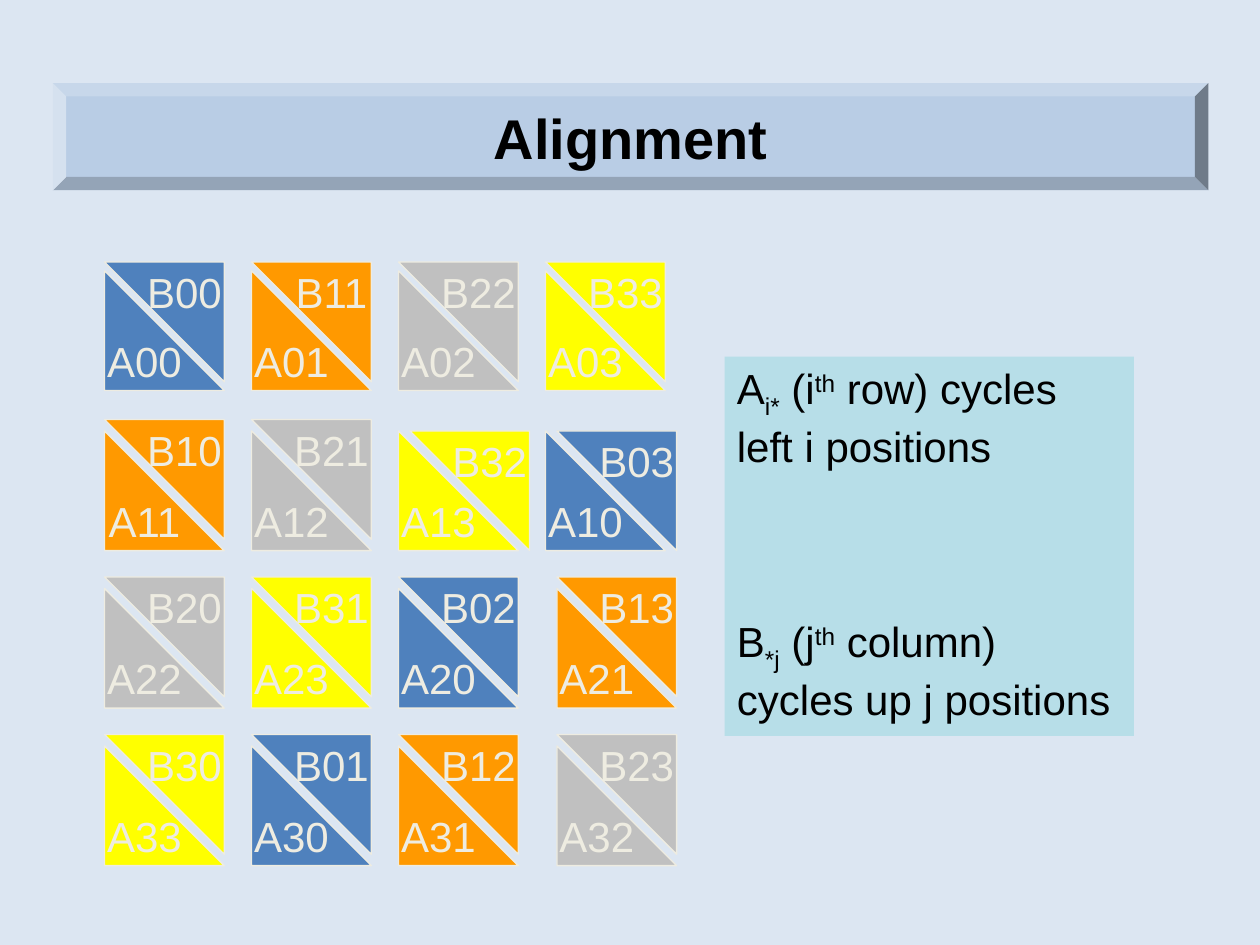
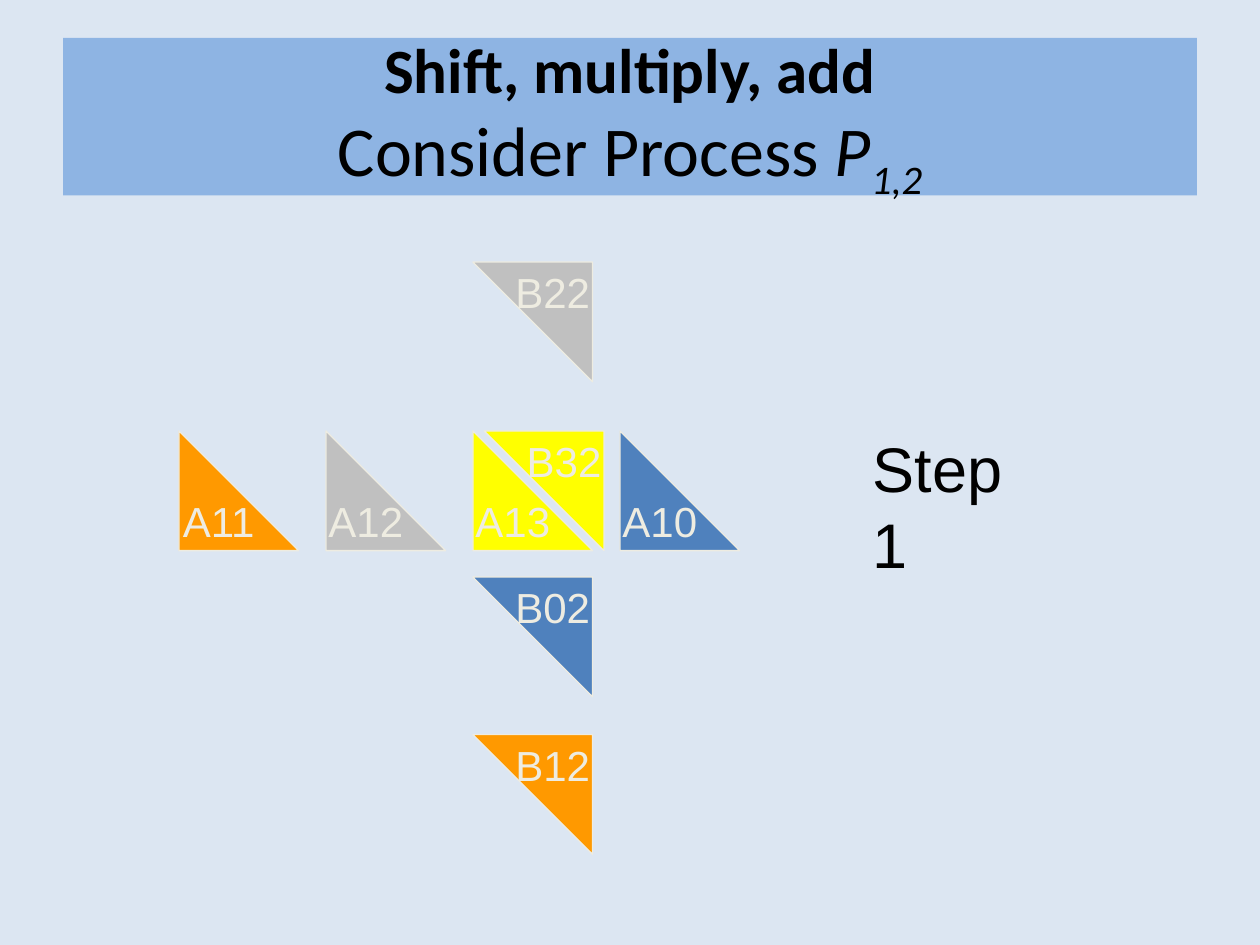
from dataclasses import dataclass

from pptx import Presentation
from pptx.dml.color import RGBColor
from pptx.enum.shapes import MSO_SHAPE as Preset
from pptx.enum.text import MSO_ANCHOR as Anchor, MSO_AUTO_SIZE as AutoSize, PP_ALIGN as Align
from pptx.util import Inches, Pt

BACKGROUND, BEVEL, TITLE_BAND, NOTE = "DCE6F2", "B9CDE5", "8EB4E3", "B7DEE8"
BLACK, CREAM = "000000", "EEECE1"
BLOCK_COLOURS = ["4F81BD", "FF9900", "C0C0C0", "FFFF00"]  # by inner index k

N = 4
TRIANGLE = 0.95
COLUMN_STEP = 3.5 / 3
A_TOPS = [2.15, 3.42, 4.67, 5.92]
B_TOPS = [2.08, 3.33, 4.58, 5.83]
NUDGE = 0.09
SUB, SUPER = -25, 30


@dataclass
class Run:
    text: str
    size: int = 24
    font: str = "Arial"
    colour: str = BLACK
    bold: bool = False
    italic: bool = False
    baseline: int = 0


@dataclass
class Block:
    """One triangle: block A or B held by the process at (row, col)."""
    matrix: str
    row: int
    col: int

    @property
    def inner(self) -> int:
        return (self.row + self.col) % N

    @property
    def label(self) -> str:
        if self.matrix == "A":
            return f"A{self.row}{self.inner}"
        return f"B{self.inner}{self.col}"

    def position(self, grid_left: float) -> tuple[float, float]:
        left = grid_left + self.col * COLUMN_STEP
        top = (A_TOPS if self.matrix == "A" else B_TOPS)[self.row]
        if self.matrix == "B" and self.row == 1 and self.col >= 2:
            return left + NUDGE, top + NUDGE
        if self.col == 3 and self.row >= 2:
            left += NUDGE
        return left, top


def rgb(colour: str) -> RGBColor:
    return RGBColor.from_string(colour)


def fill(s, colour: str) -> None:
    s.fill.solid()
    s.fill.fore_color.rgb = rgb(colour)


def add_runs(p, runs: list[Run], align=Align.LEFT) -> None:
    p.alignment = align
    for run in runs:
        r = p.add_run()
        r.text = run.text
        r.font.size = Pt(run.size)
        r.font.name = run.font
        r.font.bold = run.bold
        r.font.italic = run.italic
        r.font.color.rgb = rgb(run.colour)
        if run.baseline:
            r._r.get_or_add_rPr().set("baseline", str(run.baseline * 1000))


def add_paragraphs(tf, paragraphs: list[list[Run]], align=Align.LEFT) -> None:
    for i, runs in enumerate(paragraphs):
        add_runs(tf.add_paragraph() if i else tf.paragraphs[0], runs, align)


def add_preset(slide, preset, left: float, top: float, width: float, height: float, colour: str):
    s = slide.shapes.add_shape(preset, Inches(left), Inches(top), Inches(width), Inches(height))
    s.shadow.inherit = False
    fill(s, colour)
    s.line.fill.background()
    return s


def place_title(slide, left: float, top: float, width: float, height: float,
                paragraphs: list[list[Run]], anchor=Anchor.MIDDLE):
    title = slide.shapes.title
    title.left, title.top = Inches(left), Inches(top)
    title.width, title.height = Inches(width), Inches(height)
    tf = title.text_frame
    tf.auto_size = AutoSize.NONE
    tf.vertical_anchor = anchor
    add_paragraphs(tf, paragraphs, Align.CENTER)
    return title


def add_block(slide, block: Block, grid_left: float) -> None:
    left, top = block.position(grid_left)
    s = add_preset(slide, Preset.RIGHT_TRIANGLE, left, top, TRIANGLE, TRIANGLE,
                   BLOCK_COLOURS[block.inner])
    s.line.color.rgb = rgb(CREAM)
    s.line.width = Pt(0.75)
    tf = s.text_frame
    tf.word_wrap = False
    tf.vertical_anchor = Anchor.MIDDLE
    add_runs(tf.paragraphs[0], [Run(block.label, colour=CREAM)], Align.CENTER)
    if block.matrix == "B":  # turn the triangle, keep its label upright
        s.rotation = 180
        tf._txBody.bodyPr.set("rot", str(180 * 60000))


def add_alignment_slide(prs) -> None:
    slide = prs.slides.add_slide(prs.slide_layouts[5])
    for row in range(N):
        for col in range(N):
            for matrix in "AB":
                add_block(slide, Block(matrix, row, col), 0.83)

    note = add_preset(slide, Preset.RECTANGLE, 5.75, 2.83, 3.25, 3.01, NOTE)
    tf = note.text_frame
    tf.word_wrap = True
    tf.vertical_anchor = Anchor.TOP
    add_paragraphs(tf, [
        [Run("A"), Run("i*", baseline=SUB), Run(" (i"), Run("th", baseline=SUPER),
         Run(" row) cycles")],
        [Run("left i positions")],
        [Run("B"), Run("*j", baseline=SUB), Run(" (j"), Run("th", baseline=SUPER),
         Run(" column) cycles up j positions")],
    ])
    tf.paragraphs[-1].space_before = Pt(83)

    bevel = add_preset(slide, Preset.BEVEL, 0.42, 0.66, 9.17, 0.85, BEVEL)
    bevel.adjustments[0] = 0.125
    title = place_title(slide, 0.42, 0.77, 9.17, 0.63,
                        [[Run("Alignment", 32, bold=True)]], Anchor.TOP)
    slide.shapes._spTree.append(title._element)  # in front of the bevel


def add_shift_slide(prs) -> None:
    slide = prs.slides.add_slide(prs.slide_layouts[5])
    title = place_title(slide, 0.5, 0.3, 9, 1.25, [
        [Run("Shift, multiply, add", 36, "Calibri", bold=True)],
        [Run("Consider Process ", 40, "Calibri"),
         Run("P", 40, "Calibri", italic=True),
         Run("1,2", 40, "Calibri", italic=True, baseline=SUB)],
    ])
    fill(title, TITLE_BAND)

    process_row, process_col = 1, 2
    for i in range(N):
        add_block(slide, Block("A", process_row, i), 1.42)
        add_block(slide, Block("B", i, process_col), 1.42)

    step = slide.shapes.add_textbox(Inches(6.83), Inches(3.36), Inches(1.64), Inches(0.7))
    step.text_frame.word_wrap = False
    add_runs(step.text_frame.paragraphs[0], [Run("Step 1", 36)])


def main() -> None:
    prs = Presentation()
    prs.slide_width, prs.slide_height = Inches(10), Inches(7.5)
    fill(prs.slide_master.background, BACKGROUND)
    add_alignment_slide(prs)
    add_shift_slide(prs)
    prs.save("out.pptx")


if __name__ == "__main__":
    main()
